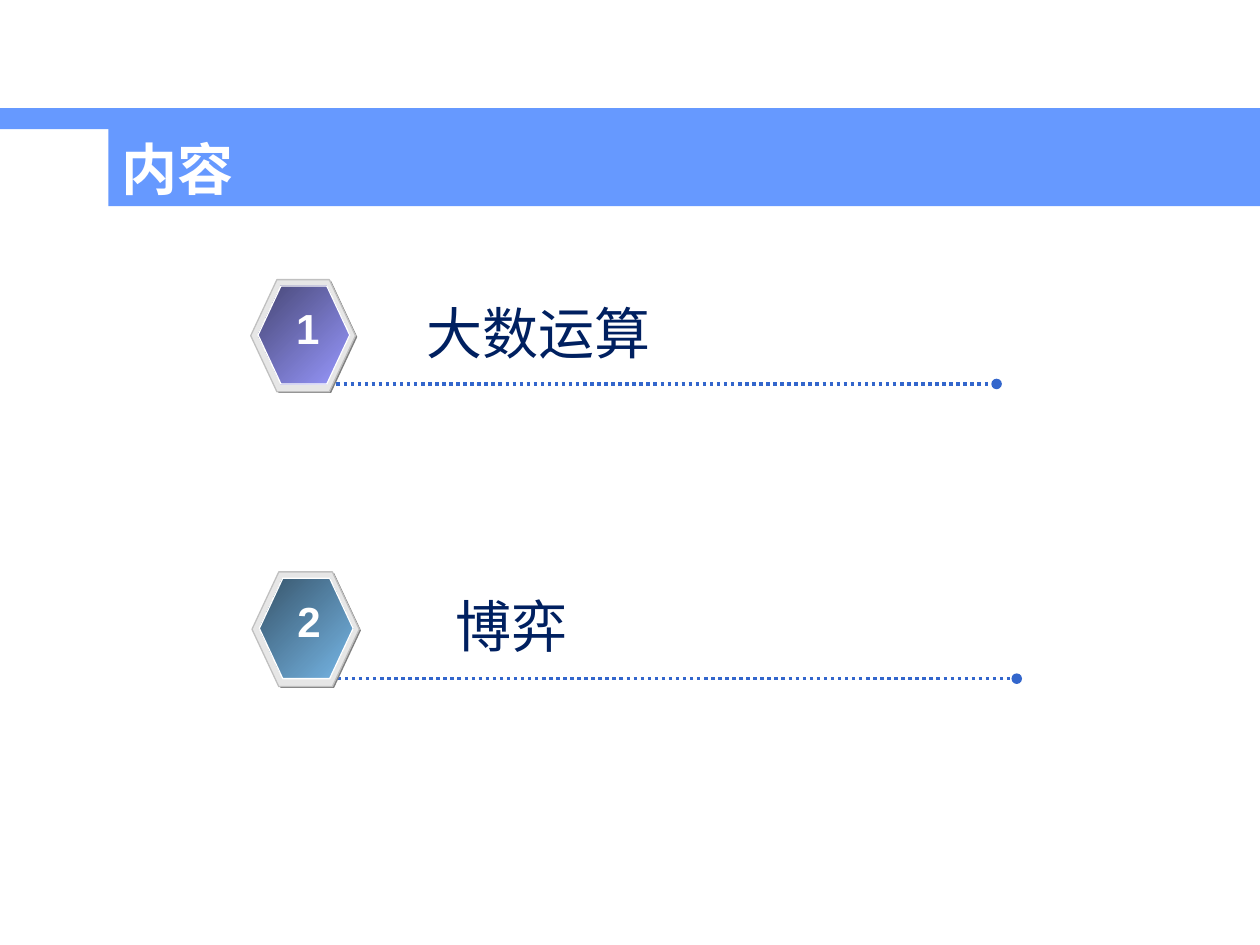
from lxml import etree
from pptx import Presentation
from pptx.dml.color import RGBColor
from pptx.enum.dml import MSO_LINE
from pptx.enum.shapes import MSO_CONNECTOR, MSO_SHAPE
from pptx.enum.text import MSO_ANCHOR, PP_ALIGN
from pptx.oxml.ns import qn
from pptx.util import Pt

HEX, RECT = MSO_SHAPE.HEXAGON, MSO_SHAPE.RECTANGLE
STRAIGHT, DOTS = MSO_CONNECTOR.STRAIGHT, MSO_LINE.ROUND_DOT
LEFT, CENTER, MIDDLE = PP_ALIGN.LEFT, PP_ALIGN.CENTER, MSO_ANCHOR.MIDDLE
LATIN, CJK = "Arial", "Noto Sans CJK SC"
BLUE, WHITE = "6699FF", "FFFFFF"


def paint(color, code):
    """Set a colour from a hex string."""
    color.rgb = RGBColor.from_string(code)


def fill(shape, code):
    """Fill a shape with one colour."""
    shape.fill.solid()
    paint(shape.fill.fore_color, code)


def write(shape, text, size, code, face=LATIN, bold=False, align=LEFT):
    """Put one styled line of text in a shape."""
    frame = shape.text_frame
    frame.text = text
    frame.vertical_anchor = MIDDLE
    frame.margin_left = frame.margin_right = Pt(7.2)
    frame.margin_top = frame.margin_bottom = Pt(3.6)
    para = frame.paragraphs[0]
    para.alignment = align
    font = para.runs[0].font
    font.size, font.bold, font.name = Pt(size), bold, face
    paint(font.color, code)
    props = para.runs[0]._r.get_or_add_rPr()
    etree.SubElement(props, qn("a:ea")).set("typeface", CJK)


def place(shapes, kind, box, edge=None):
    """Add a flat preset shape with an optional thin edge."""
    shape = shapes.add_shape(kind, *map(Pt, box))
    shape.shadow.inherit = False
    if edge:
        paint(shape.line.color, edge)
        shape.line.width = Pt(0.75)
    else:
        shape.line.fill.background()
    return shape


def header(slide, box, text):
    """Draw the stepped band with the slide title."""
    x, y, w, h = box
    strip, step = 12, 62
    title = slide.shapes.title
    title.left, title.top = Pt(x + step), Pt(y + strip)
    title.width, title.height = Pt(w - step), Pt(h - strip)
    fill(title, BLUE)
    write(title, text, 32, WHITE, bold=True)
    fill(place(slide.shapes, RECT, (x, y, w, strip)), BLUE)


def badge(shapes, box, number, light, dark):
    """Draw a bevelled hexagon with a number."""
    x, y, w, h = box
    fill(place(shapes, HEX, (x + 1, y + 0.7, w, h)), "808080")
    fill(place(shapes, HEX, box, "C0C0C0"), "E6E6E6")
    core = place(shapes, HEX, (x + 4.2, y + 3.6, w * 0.875, h * 0.875), WHITE)
    core.fill.gradient()
    core.fill.gradient_angle = 135
    for stop, code in zip(core.fill.gradient_stops, (light, dark)):
        paint(stop.color, code)
    label = shapes.add_textbox(Pt(x + 18.8), Pt(y + 9.7), Pt(27.4), Pt(36))
    label.text_frame.word_wrap = False
    write(label, str(number), 24, WHITE, bold=True, align=CENTER)


def rule(shapes, x, y, end):
    """Draw a dotted line that ends in a dot."""
    line = shapes.add_connector(STRAIGHT, Pt(x), Pt(y), Pt(end), Pt(y))
    paint(line.line.color, "3366CC")
    line.line.width = Pt(2)
    line.line.dash_style = DOTS
    etree.SubElement(line.line._get_or_add_ln(), qn("a:tailEnd")).set("type", "oval")
    etree.SubElement(line._element.spPr, qn("a:effectLst"))


def entry(slide, box, number, text, indent, light, dark):
    """Draw one numbered topic as a group."""
    x, y, w, h = box
    shapes = slide.shapes.add_group_shape().shapes
    rule(shapes, x + 49, y + h * 0.93, x + w)
    badge(shapes, (x, y, h * 0.934, h), number, light, dark)
    label = shapes.add_textbox(Pt(x + indent), Pt(y + 7.2), Pt(143), Pt(46))
    label.text_frame.word_wrap = False
    write(label, text, 32, "002060", CJK)


def main():
    """Build and save the contents slide."""
    deck = Presentation()
    deck.slide_width, deck.slide_height = Pt(720), Pt(540)
    slide = deck.slides.add_slide(deck.slide_layouts[5])
    header(slide, (0, 61.8, 720, 56), "内容")
    topics = [
        ((143.3, 159.8, 426.2, 64.1), "大数运算", 93.6, "9999FF", "474776"),
        ((144, 326.8, 437, 65.6), "博弈", 109, "77B7E7", "37556B"),
    ]
    for number, (box, *rest) in enumerate(topics, 1):
        entry(slide, box, number, *rest)
    deck.save("out.pptx")


if __name__ == "__main__":
    main()
